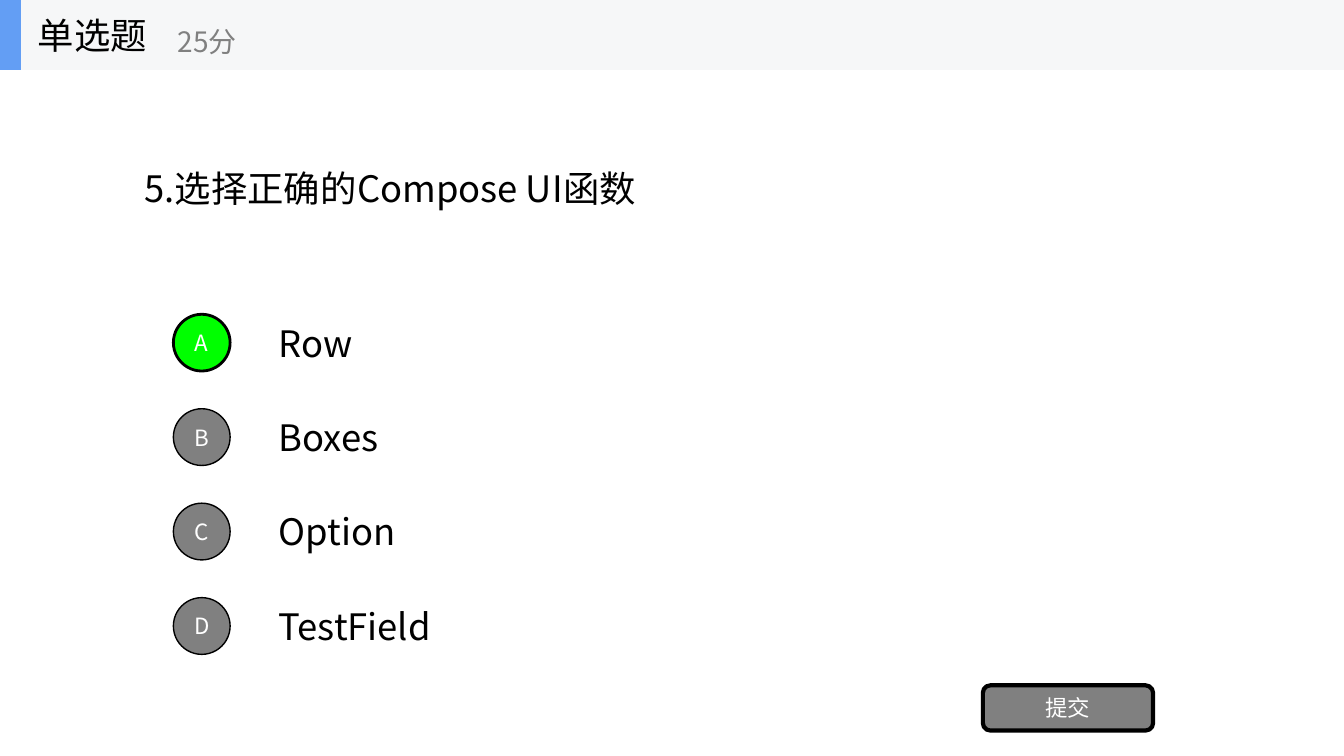
"""Build a single-choice quiz slide with four options and a submit button."""
from lxml import etree
from pptx import Presentation
from pptx import util as u
from pptx.dml.color import RGBColor
from pptx.enum import shapes, text
from pptx.oxml.ns import qn

FACE = "Noto Sans CJK SC"
KIND = shapes.MSO_SHAPE
LEFT, MID = text.PP_ALIGN.LEFT, text.PP_ALIGN.CENTER


def tint(code):
    return RGBColor.from_string(code)


def write(box, words, size, color, align=LEFT, inset=0.25):
    frame = box.text_frame
    frame.text = words
    looks = {"word_wrap": True, "auto_size": text.MSO_AUTO_SIZE.NONE,
             "vertical_anchor": text.MSO_ANCHOR.MIDDLE,
             "margin_left": u.Cm(inset), "margin_right": u.Cm(inset),
             "margin_top": u.Cm(0), "margin_bottom": u.Cm(0)}
    for key, val in looks.items():
        setattr(frame, key, val)
    para = frame.paragraphs[0]
    para.alignment, para.line_spacing = align, 1.0
    run = para.runs[0]
    for key, val in {"name": FACE, "size": u.Pt(size), "bold": False}.items():
        setattr(run.font, key, val)
    run.font.color.rgb = tint(color)
    etree.SubElement(run._r.get_or_add_rPr(), qn("a:ea"), typeface=FACE)


deck = Presentation()
deck.slide_width, deck.slide_height = u.Cm(33.87), u.Cm(19.05)
slide = deck.slides.add_slide(deck.slide_layouts[5])

title = slide.shapes.title
place = {"left": 3.39, "top": 1.76, "width": 27.09, "height": 5.94}
for key, val in place.items():
    setattr(title, key, u.Cm(val))
write(title, "5.选择正确的Compose UI函数", 26, "000000")

marks = []
names = ["Row", "Boxes", "Option", "TestField"]
for i, name in enumerate(names):
    top = 7.74 + 2.38 * i
    label = slide.shapes.add_textbox(u.Cm(6.77), u.Cm(top), u.Cm(23.71), u.Cm(1.78))
    write(label, name, 26, "000000")
    right = name == "Row"
    marks.append((KIND.OVAL, 4.37, top + 0.18, 1.43, 1.43, "ABCD"[i],
                  "00FF00" if right else "808080", 2 if right else 1))
marks.append((KIND.ROUNDED_RECTANGLE, 24.77, 17.27, 4.29, 1.14, "提交", "808080", 3))

for kind, x, y, w, h, words, fill, line in marks:
    mark = slide.shapes.add_shape(kind, u.Cm(x), u.Cm(y), u.Cm(w), u.Cm(h))
    mark.shadow.inherit = False
    mark.fill.solid()
    mark.fill.fore_color.rgb = tint(fill)
    mark.line.color.rgb = tint("000000")
    mark.line.width = u.Pt(line)
    write(mark, words, 16, "FFFFFF", MID, 0)

head = slide.shapes.add_group_shape()
for width, fill in [(33.87, "F6F7F8"), (0.53, "639EF4")]:
    bar = head.shapes.add_shape(KIND.RECTANGLE, 0, 0, u.Cm(width), u.Cm(1.76))
    bar.shadow.inherit = False
    bar.fill.solid()
    bar.fill.fore_color.rgb = tint(fill)
    bar.line.fill.background()

for x, y, w, h, words, size, color in [
        (0.7, 0, 5.29, 1.76, "单选题", 26, "000000"),
        (4.23, 0.32, 6.35, 1.43, "25分", 20, "808080")]:
    note = head.shapes.add_textbox(u.Cm(x), u.Cm(y), u.Cm(w), u.Cm(h))
    write(note, words, size, color)

deck.save("out.pptx")
